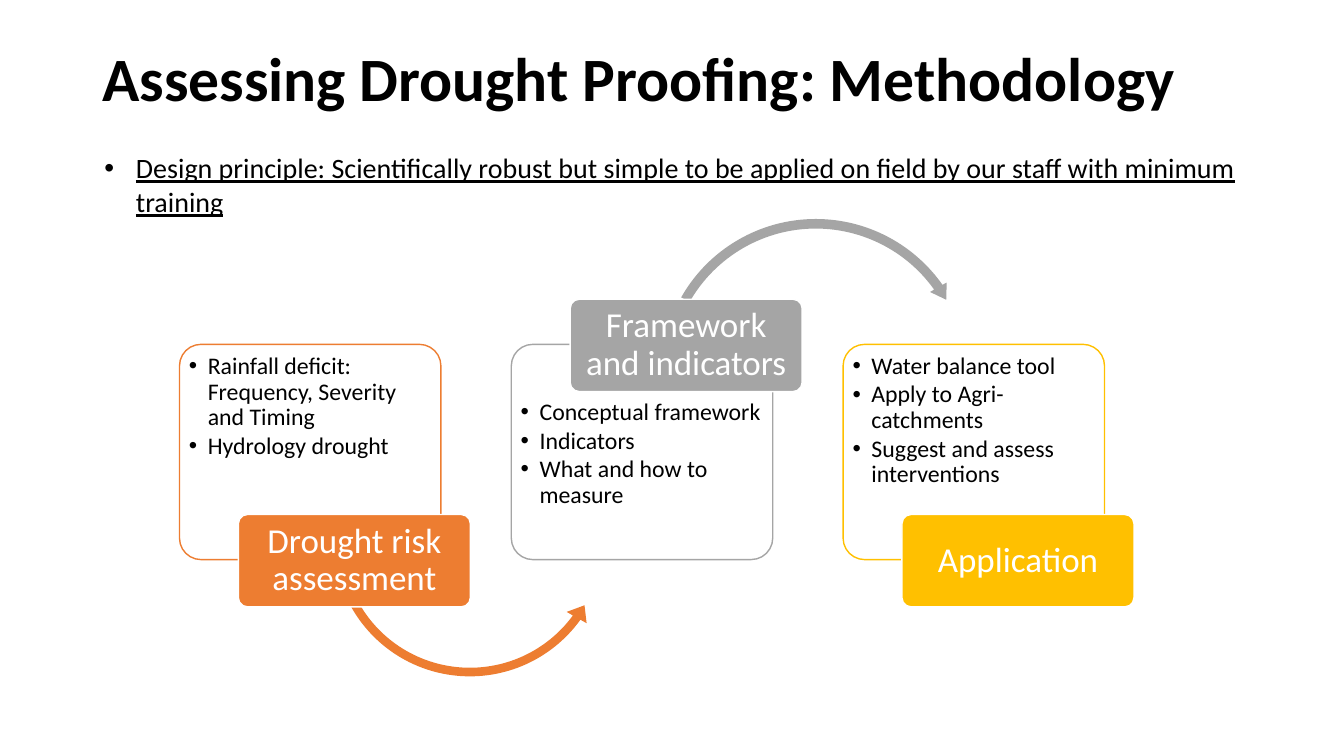
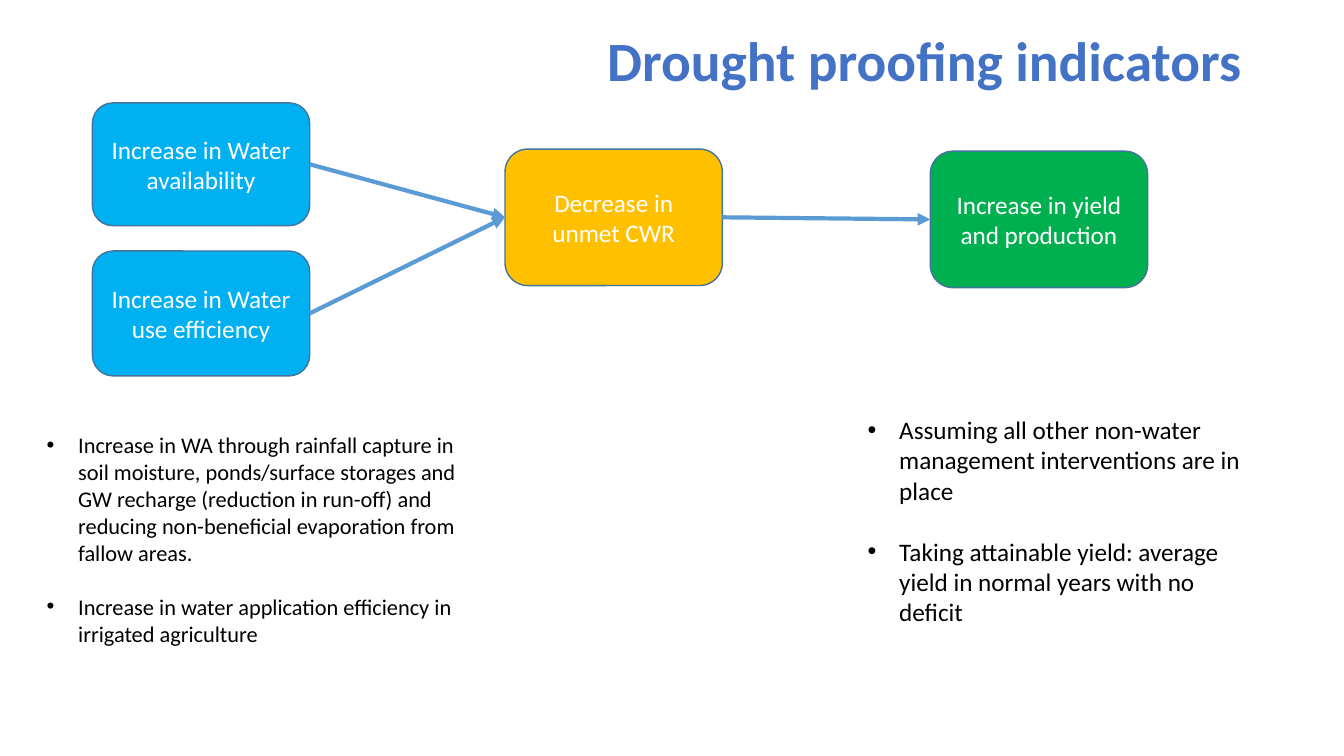
from lxml.etree import SubElement
from pptx import Presentation
from pptx.dml.color import RGBColor
from pptx.enum.shapes import MSO_CONNECTOR, MSO_SHAPE
from pptx.enum.text import MSO_ANCHOR, PP_ALIGN
from pptx.oxml.ns import qn
from pptx.util import Pt

PX = 9525
FONT = "Calibri"
COLORS = {
    "black": "000000",
    "white": "FFFFFF",
    "title_blue": "4472C4",
    "orange": "ED7D31",
    "gray": "A5A5A5",
    "gold": "FFC000",
    "sky": "00B0F0",
    "green": "00B050",
    "outline": "43739E",
    "link": "5B9BD5",
}
RIGHT_SITE, LEFT_SITE = 3, 1


def color(name):
    return RGBColor.from_string(COLORS[name])


def px(*lengths):
    return [length * PX for length in lengths]


def add_bullet(para, indent):
    props = para._p.get_or_add_pPr()
    props.set("marL", str(indent * PX))
    props.set("indent", str(-indent * PX))
    SubElement(props, qn("a:buFont")).set("typeface", "Arial")
    SubElement(props, qn("a:buChar")).set("char", "•")


def write(frame, lines, size, ink="black", bold=False, underline=False,
          align=PP_ALIGN.LEFT, anchor=MSO_ANCHOR.TOP, spacing=1.0, gap=0,
          bullet=0, insets=None):
    frame.word_wrap = True
    frame.vertical_anchor = anchor
    if insets:
        (frame.margin_left, frame.margin_top,
         frame.margin_right, frame.margin_bottom) = px(*insets)
    for index, line in enumerate(lines):
        para = frame.add_paragraph() if index else frame.paragraphs[0]
        if bullet:
            add_bullet(para, bullet)
        para.alignment = align
        para.line_spacing = spacing
        if index and gap:
            para.space_before = Pt(gap)
        span = para.add_run()
        span.text = line
        span.font.name = FONT
        span.font.size = Pt(size)
        span.font.bold = bold
        span.font.underline = underline
        span.font.color.rgb = color(ink)


def add_text(page, place, lines, size, **style):
    box = page.shapes.add_textbox(*px(*place))
    write(box.text_frame, lines, size, **style)


def add_title(page, place, title, size, **style):
    add_text(page, place, [title], size, bold=True, spacing=0.9, **style)


def add_block(page, kind, place, fill, line=None, adjustments=()):
    shape = page.shapes.add_shape(kind, *px(*place))
    shape.shadow.inherit = False
    shape.fill.solid()
    shape.fill.fore_color.rgb = color(fill)
    if line:
        shape.line.color.rgb = color(line)
        shape.line.width = Pt(1)
    else:
        shape.line.fill.background()
    for index, value in enumerate(adjustments):
        shape.adjustments[index] = value
    return shape


def add_step(page, left, hue, label, points, label_on_top, arrow):
    card = add_block(page, MSO_SHAPE.ROUNDED_RECTANGLE, (left, 328, 249, 205),
                     "white", hue, [0.1])
    write(card.text_frame, points, 17, spacing=0.9, gap=2, bullet=18,
          insets=(3, 47 if label_on_top else 3, 3, 3))
    if arrow:
        kind, place, adjustments = arrow
        add_block(page, kind, place, hue, adjustments=adjustments)
    tag = add_block(page, MSO_SHAPE.ROUNDED_RECTANGLE,
                    (left + 56, 285 if label_on_top else 490, 221, 88),
                    hue, "white", [0.1])
    write(tag.text_frame, [label], 25, ink="white", spacing=0.9,
          align=PP_ALIGN.CENTER, anchor=MSO_ANCHOR.MIDDLE, insets=(5, 3, 5, 3))


def add_indicator(page, place, fill, label):
    shape = add_block(page, MSO_SHAPE.ROUNDED_RECTANGLE, place, fill, "outline")
    write(shape.text_frame, [label], 18, ink="white",
          align=PP_ALIGN.CENTER, anchor=MSO_ANCHOR.MIDDLE)
    return shape


def add_arrow(page, source, target):
    arrow = page.shapes.add_connector(MSO_CONNECTOR.STRAIGHT, 0, 0, 0, 0)
    arrow.begin_connect(source, RIGHT_SITE)
    arrow.end_connect(target, LEFT_SITE)
    arrow.line.color.rgb = color("link")
    arrow.line.width = Pt(3)
    SubElement(arrow.line._get_or_add_ln(), qn("a:tailEnd")).set("type", "triangle")
    SubElement(arrow._element.spPr, qn("a:effectLst"))


def build_methodology(page):
    add_title(page, (88, 41, 1104, 98), "Assessing Drought Proofing: Methodology", 44)
    steps = [
        ("orange", "Drought risk assessment",
         ["Rainfall deficit: Frequency, Severity and Timing", "Hydrology drought"],
         False,
         (MSO_SHAPE.LEFT_CIRCULAR_ARROW, (311, 378, 273, 273),
          [0.03, 3.81, 21.56, 90.25, 0.04])),
        ("gray", "Framework and indicators",
         ["Conceptual framework", "Indicators", "What and how to measure"],
         True,
         (MSO_SHAPE.CIRCULAR_ARROW, (625, 204, 304, 304),
          [0.03, 3.39, 194.86, 125.76, 0.03])),
        ("gold", "Application",
         ["Water balance tool", "Apply to Agri-catchments",
          "Suggest and assess interventions"],
         False, None),
    ]
    for index, step in enumerate(steps):
        add_step(page, 171 + 316 * index, *step)
    add_text(page, (90, 139, 1102, 74),
             ["Design principle: Scientifically robust but simple to be applied "
              "on field by our staff with minimum training"],
             20, underline=True, bullet=30)


def build_indicators(page):
    add_title(page, (88, 27, 1104, 79), "Drought proofing indicators", 39.6,
              ink="title_blue", align=PP_ALIGN.RIGHT)
    availability = add_indicator(page, (88, 98, 207, 117), "sky",
                                 "Increase in Water availability")
    demand = add_indicator(page, (481, 142, 207, 130), "gold",
                           "Decrease in unmet CWR")
    production = add_indicator(page, (886, 144, 207, 130), "green",
                               "Increase in yield and production")
    efficiency = add_indicator(page, (88, 239, 207, 119), "sky",
                               "Increase in Water use efficiency")
    for source, target in [(availability, demand), (efficiency, demand),
                           (demand, production)]:
        add_arrow(page, source, target)
    add_text(page, (35, 406, 416, 217),
             ["Increase in WA through rainfall capture in soil moisture, "
              "ponds/surface storages and GW recharge (reduction in run-off) and "
              "reducing non-beneficial evaporation from fallow areas.",
              "Increase in water application efficiency in irrigated agriculture"],
             16, bullet=30, gap=19.5)
    add_text(page, (817, 390, 375, 242),
             ["Assuming all other non-water management interventions are in place",
              "Taking attainable yield: average yield in normal years with no deficit"],
             18, bullet=30, gap=22)


def main():
    deck = Presentation()
    deck.slide_width, deck.slide_height = px(1280, 720)
    for build in (build_methodology, build_indicators):
        build(deck.slides.add_slide(deck.slide_layouts[6]))
    deck.save("out.pptx")


if __name__ == "__main__":
    main()
